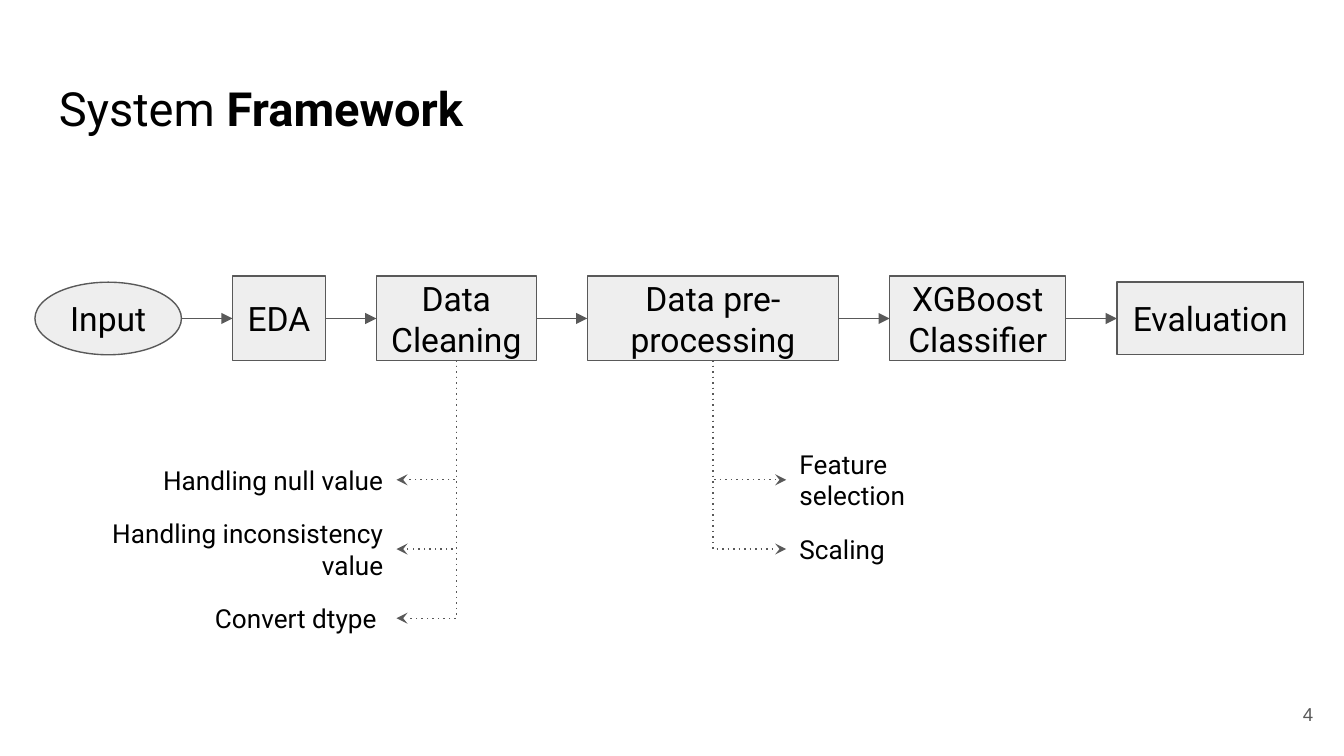
from typing import NamedTuple

from pptx import Presentation
from pptx.dml.color import RGBColor
from pptx.enum.shapes import MSO_CONNECTOR as CXN, MSO_SHAPE as SHP
from pptx.enum.text import MSO_ANCHOR as ANC, PP_ALIGN as AL
from pptx.oxml.ns import qn
from pptx.util import Inches, Pt
from lxml.etree import SubElement

GREY = "595959"
FLOW_Y, GAP = 2.37, 0.38
ROW_Y, ROW_STEP = 3.57, 1.03 / 2
LABEL_HEIGHT = 0.41


class Step(NamedTuple):
    text: str
    width: float
    height: float = 0.63
    kind: SHP = SHP.RECTANGLE


class Branch(NamedTuple):
    step: str
    text_left: float
    text_width: float
    tip: float
    align: AL
    labels: list[str]


STEPS = [
    Step("Input", 1.09, 0.54, SHP.OVAL),
    Step("EDA", 0.69),
    Step("Data Cleaning", 1.19),
    Step("Data pre-processing", 1.87),
    Step("XGBoost Classifier", 1.31),
    Step("Evaluation", 1.39, 0.54),
]
BRANCHES = [
    Branch("Data Cleaning", 0.24, 2.71, 2.95, AL.RIGHT,
           ["Handling null value", "Handling inconsistency value", "Convert dtype "]),
    Branch("Data pre-processing", 5.85, 1.68, 5.85, AL.LEFT,
           ["Feature selection", "Scaling"]),
]


def rgb(value: str) -> RGBColor:
    return RGBColor.from_string(value)


def write(sp, text: str, *, bold_text: str = "", size: float = 18, font: str = "Roboto",
          color: str = "000000", align: AL = AL.CENTER, anchor: ANC = ANC.MIDDLE) -> None:
    tf = sp.text_frame
    tf.word_wrap = True
    tf.vertical_anchor = anchor
    tf.margin_left = tf.margin_right = tf.margin_top = tf.margin_bottom = Inches(0.1)
    p = tf.paragraphs[0]
    p.alignment = align
    for part, bold in ((text, False), (bold_text, True)):
        if part:
            r = p.add_run()
            r.text = part
            r.font.size, r.font.name, r.font.bold = Pt(size), font, bold
            r.font.color.rgb = rgb(color)


def add_text(s, box: tuple[float, float, float, float], text: str, **fmt) -> None:
    write(s.shapes.add_textbox(*map(Inches, box)), text, **fmt)


def add_step(s, step: Step, left: float):
    sp = s.shapes.add_shape(step.kind, Inches(left), Inches(FLOW_Y - step.height / 2),
                            Inches(step.width), Inches(step.height))
    sp.shadow.inherit = False
    sp.fill.solid()
    sp.fill.fore_color.rgb = rgb("EEEEEE")
    sp.line.color.rgb = rgb(GREY)
    sp.line.width = Pt(0.75)
    write(sp, step.text)
    return sp


def add_arrow(s, kind: CXN, x1: float, y1: float, x2: float, y2: float, head: str):
    c = s.shapes.add_connector(kind, Inches(x1), Inches(y1), Inches(x2), Inches(y2))
    c.line.color.rgb = rgb(GREY)
    c.line.width = Pt(0.75)
    ln = c._element.spPr.find(qn("a:ln"))
    if kind == CXN.ELBOW:
        SubElement(ln, qn("a:prstDash"), val="dot")
    SubElement(ln, qn("a:tailEnd"), type=head)
    SubElement(c._element.spPr, qn("a:effectLst"))
    return c


def add_elbow(s, x1: float, y1: float, x2: float, y2: float) -> None:
    cx, cy = (x1 + x2) / 2, (y1 + y2) / 2
    dx, dy = abs(x2 - x1) / 2, (y2 - y1) / 2
    c = add_arrow(s, CXN.ELBOW, cx - dy, cy - dx, cx + dy, cy + dx, "stealth")
    sp_pr = c._element.spPr
    sp_pr.find(qn("a:prstGeom")).set("prst", "bentConnector2")
    xfrm = sp_pr.find(qn("a:xfrm"))
    xfrm.set("rot", str((90 if x2 < x1 else 270) * 60000))
    if x2 > x1:
        xfrm.set("flipH", "1")


def main() -> None:
    prs = Presentation()
    prs.slide_width = Inches(10)
    prs.slide_height = prs.slide_width * 9 // 16
    s = prs.slides.add_slide(prs.slide_layouts[6])

    add_text(s, (0.34, 0.49, 9.32, 0.63), "System ", bold_text="Framework",
             size=25.2, align=AL.LEFT, anchor=ANC.TOP)
    add_text(s, (9.27, 5.1, 0.6, 0.43), "4", size=10, font="Arial", color=GREY, align=AL.RIGHT)

    left, previous = 0.26, None
    centers = {}
    for step in STEPS:
        sp = add_step(s, step, left)
        if previous:
            c = add_arrow(s, CXN.STRAIGHT, left - GAP, FLOW_Y, left, FLOW_Y, "triangle")
            if previous.auto_shape_type == SHP.RECTANGLE:
                c.begin_connect(previous, 3)
            c.end_connect(sp, 1)
        centers[step.text] = left + step.width / 2
        left += step.width + GAP
        previous = sp

    for branch in BRANCHES:
        for i, label in enumerate(branch.labels):
            y = ROW_Y + i * ROW_STEP
            add_text(s, (branch.text_left, y - LABEL_HEIGHT / 2, branch.text_width, LABEL_HEIGHT),
                     label, size=14, align=branch.align)
            add_elbow(s, centers[branch.step], 2.68, branch.tip, y)

    prs.save("out.pptx")


if __name__ == "__main__":
    main()
